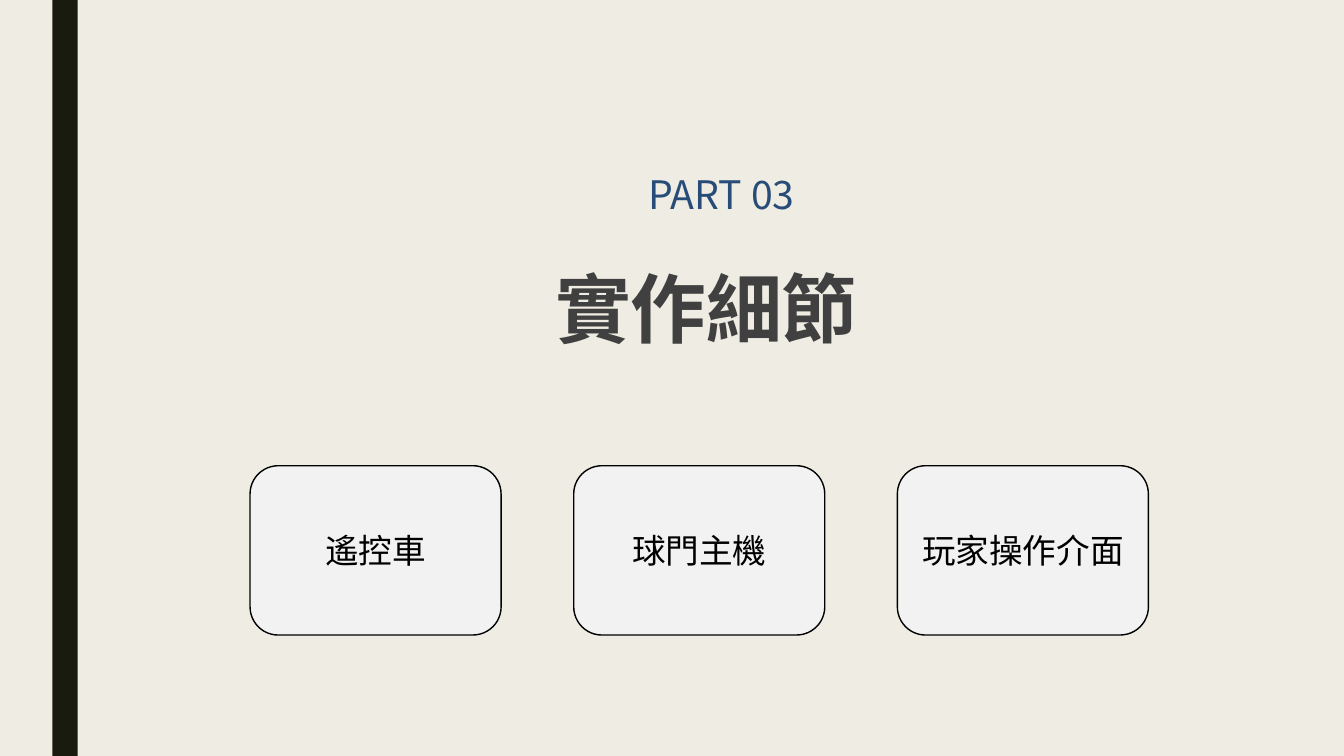
from lxml.etree import SubElement
from pptx import Presentation
from pptx.dml.color import RGBColor
from pptx.enum.shapes import MSO_SHAPE as Shape
from pptx.enum.text import MSO_ANCHOR as Anchor, MSO_AUTO_SIZE as AutoSize, PP_ALIGN as Align
from pptx.oxml.ns import qn
from pptx.util import Inches, Pt


def rgb(value):
    return RGBColor.from_string(value)


class SectionSlide:
    CJK = "Noto Sans CJK SC"
    LATIN = "Lato"
    BACKGROUND, BAR, CARD = "EFEDE3", "191B0E", "F2F2F2"
    HEADING, ACCENT, INK = "404040", "274C77", "000000"

    def __init__(self, deck):
        self.slide = deck.slides.add_slide(deck.slide_layouts[5])
        fill = self.slide.background.fill
        fill.solid()
        fill.fore_color.rgb = rgb(self.BACKGROUND)

    def set_text(self, frame, text, size, color, font, align, anchor, bold=False):
        frame.text = text
        frame.vertical_anchor = anchor
        paragraph = frame.paragraphs[0]
        paragraph.alignment = align
        run = paragraph.runs[0]
        run.font.name = font
        run.font.size = Pt(size)
        run.font.bold = bold
        run.font.color.rgb = rgb(color)
        # East Asian characters take their own typeface
        SubElement(run.font._element, qn("a:ea"), typeface=self.CJK)

    def title(self, text, left, top, width, height):
        heading = self.slide.shapes.title
        heading.left, heading.top = Inches(left), Inches(top)
        heading.width, heading.height = Inches(width), Inches(height)
        heading.text_frame.auto_size = AutoSize.NONE
        self.set_text(heading.text_frame, text, 54, self.HEADING, self.CJK,
                      Align.CENTER, Anchor.TOP, bold=True)

    def label(self, text, left, top, width, height):
        box = self.slide.shapes.add_textbox(
            Inches(left), Inches(top), Inches(width), Inches(height))
        box.text_frame.word_wrap = False
        self.set_text(box.text_frame, text, 28, self.ACCENT, self.CJK, Align.LEFT, Anchor.TOP)

    def block(self, kind, left, top, width, height, fill, line=None):
        shape = self.slide.shapes.add_shape(
            kind, Inches(left), Inches(top), Inches(width), Inches(height))
        shape.shadow.inherit = False
        shape.fill.solid()
        shape.fill.fore_color.rgb = rgb(fill)
        if line:
            shape.line.color.rgb = rgb(line)
            shape.line.width = Pt(1)
        else:
            shape.line.fill.background()
        return shape

    def card(self, text, left, top, width, height):
        card = self.block(Shape.ROUNDED_RECTANGLE, left, top, width, height, self.CARD, self.INK)
        self.set_text(card.text_frame, text, 24, self.INK, self.LATIN,
                      Align.CENTER, Anchor.MIDDLE)


def main():
    deck = Presentation()
    deck.slide_width, deck.slide_height = Inches(13.33), Inches(7.5)
    section = SectionSlide(deck)

    # Side bar
    section.block(Shape.RECTANGLE, 0.52, 0, 0.25, 7.5, section.BAR)

    # Section heading
    section.title("實作細節", 4.87, 2.55, 4.27, 1.2)
    section.label("PART 03", 6.33, 1.64, 1.67, 0.57)

    # Topic cards, evenly spaced
    first_left, pitch = 2.48, 3.21
    for index, topic in enumerate(["遙控車", "球門主機", "玩家操作介面"]):
        section.card(topic, first_left + index * pitch, 4.62, 2.49, 1.68)

    deck.save("out.pptx")


if __name__ == "__main__":
    main()
